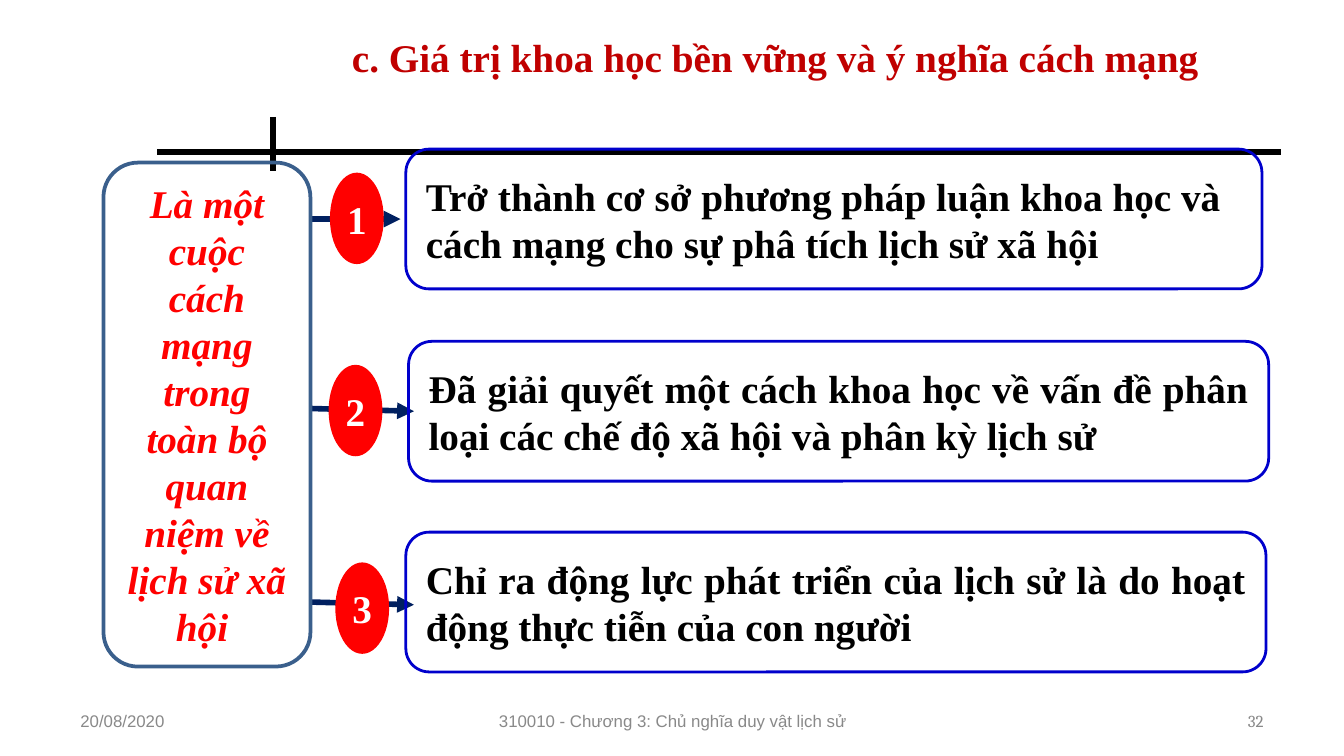
from dataclasses import dataclass

import pptx
import pptx.dml.color
import pptx.enum.shapes
import pptx.enum.text
import pptx.oxml
import pptx.oxml.ns
import pptx.util
from pptx.util import Inches

ALIGN = pptx.enum.text.PP_ALIGN
ANCHOR = pptx.enum.text.MSO_ANCHOR
SHAPE = pptx.enum.shapes.MSO_SHAPE
SERIF = "Times New Roman"
RED = "FF0000"
GREY = "898989"


@dataclass
class Box:
    left: float
    top: float
    width: float
    height: float


@dataclass
class Value:
    """One numbered point: its badge, its arrow and its framed statement."""
    number: str
    statement: str
    frame: Box
    align: ALIGN
    badge_left: float
    badge_top: float
    arrow_start_y: float
    arrow_end: tuple[float, float]


@dataclass
class FooterItem:
    text: str
    left: float
    width: float
    align: ALIGN
    font: str = "Arial"


VALUES = [
    Value("1", "Trở thành cơ sở phương pháp luận khoa học và cách mạng cho sự phâ tích lịch sử xã hội",
          Box(3.02, 1.11, 6.37, 1.04), ALIGN.LEFT, 2.46, 1.29, 1.63, (2.98, 1.63)),
    Value("2", "Đã giải quyết một cách khoa học về vấn đề phân loại các chế độ xã hội và phân kỳ lịch sử",
          Box(3.04, 2.54, 6.4, 1.04), ALIGN.JUSTIFY, 2.45, 2.72, 3.04, (3.08, 3.06)),
    Value("3", "Chỉ ra động lực phát triển của lịch sử là do hoạt động thực tiễn của con người",
          Box(3.02, 3.96, 6.4, 1.04), ALIGN.JUSTIFY, 2.5, 4.19, 4.48, (3.08, 4.5)),
]

FOOTER = [
    FooterItem("20/08/2020", 0.5, 2.33, ALIGN.LEFT),
    FooterItem("310010 - Chương 3: Chủ nghĩa duy vật lịch sử", 3.42, 3.17, ALIGN.CENTER),
    FooterItem("32", 7.17, 2.33, ALIGN.RIGHT, "Cambria"),
]


def rgb(value: str) -> pptx.dml.color.RGBColor:
    return pptx.dml.color.RGBColor.from_string(value)


def write(shape, text: str, color: str, align: ALIGN, size: float = 21, font: str = SERIF,
          bold: bool = True, italic: bool = False, anchor: ANCHOR = ANCHOR.MIDDLE,
          wrap: bool = True) -> None:
    frame = shape.text_frame
    frame.word_wrap = wrap
    frame.vertical_anchor = anchor
    paragraph = frame.paragraphs[0]
    paragraph.text = text
    paragraph.alignment = align
    paragraph.font.name = font
    paragraph.font.size = pptx.util.Pt(size)
    paragraph.font.bold = bold
    paragraph.font.italic = italic
    paragraph.font.color.rgb = rgb(color)


def add_outline(slide, kind: SHAPE, box: Box, line: str, weight: float, fill: str | None = None):
    shape = slide.shapes.add_shape(kind, Inches(box.left), Inches(box.top),
                                   Inches(box.width), Inches(box.height))
    shape.shadow.inherit = False
    if fill:
        shape.fill.solid()
        shape.fill.fore_color.rgb = rgb(fill)
    else:
        shape.fill.background()
    shape.line.color.rgb = rgb(line)
    shape.line.width = pptx.util.Pt(weight)
    return shape


def add_text_box(slide, box: Box):
    return slide.shapes.add_textbox(Inches(box.left), Inches(box.top),
                                    Inches(box.width), Inches(box.height))


def add_line(slide, start: tuple[float, float], end: tuple[float, float], color: str,
             arrow: bool = False) -> None:
    line = slide.shapes.add_connector(pptx.enum.shapes.MSO_CONNECTOR.STRAIGHT,
                                      *map(Inches, start + end))
    line.line.color.rgb = rgb(color)
    line.line.width = pptx.util.Pt(3)
    properties = line._element.spPr
    if arrow:
        head = pptx.oxml.parse_xml(f'<a:tailEnd {pptx.oxml.ns.nsdecls("a")} type="triangle"/>')
        properties.find(pptx.oxml.ns.qn("a:ln")).append(head)
    properties.append(pptx.oxml.parse_xml(f'<a:effectLst {pptx.oxml.ns.nsdecls("a")}/>'))


def add_value(slide, value: Value) -> None:
    add_line(slide, (2.32, value.arrow_start_y), value.arrow_end, "002060", arrow=True)
    badge = add_outline(slide, SHAPE.OVAL, Box(value.badge_left, value.badge_top, 0.39, 0.67),
                        RED, 0.75, RED)
    write(badge, value.number, "FFFFFF", ALIGN.CENTER, wrap=False)
    statement = add_outline(slide, SHAPE.ROUNDED_RECTANGLE, value.frame, "0000CC", 1.5)
    write(statement, value.statement, "000000", value.align)


def main() -> None:
    deck = pptx.Presentation()
    deck.slide_width = Inches(10)
    deck.slide_height = deck.slide_width * 9 // 16
    slide = deck.slides.add_slide(deck.slide_layouts[6])

    add_line(slide, (1.17, 1.13), (9.53, 1.13), "000000")
    add_line(slide, (2.03, 0.87), (2.03, 1.27), "000000")

    for value in VALUES:
        add_value(slide, value)

    thesis = add_outline(slide, SHAPE.ROUNDED_RECTANGLE, Box(0.77, 1.21, 1.54, 3.75), "3A5F8C", 2)
    write(thesis, "Là một cuộc cách mạng trong toàn bộ quan niệm về lịch sử xã hội ",
          RED, ALIGN.CENTER, italic=True)

    title = add_text_box(slide, Box(2.52, 0.2, 6.65, 0.45))
    write(title, "c. Giá trị khoa học bền vững và ý nghĩa cách mạng", "C00000",
          ALIGN.JUSTIFY, anchor=ANCHOR.TOP)

    for item in FOOTER:
        footer = add_text_box(slide, Box(item.left, 5.21, item.width, 0.3))
        write(footer, item.text, GREY, item.align, size=9, font=item.font, bold=False)

    deck.save("out.pptx")


if __name__ == "__main__":
    main()
